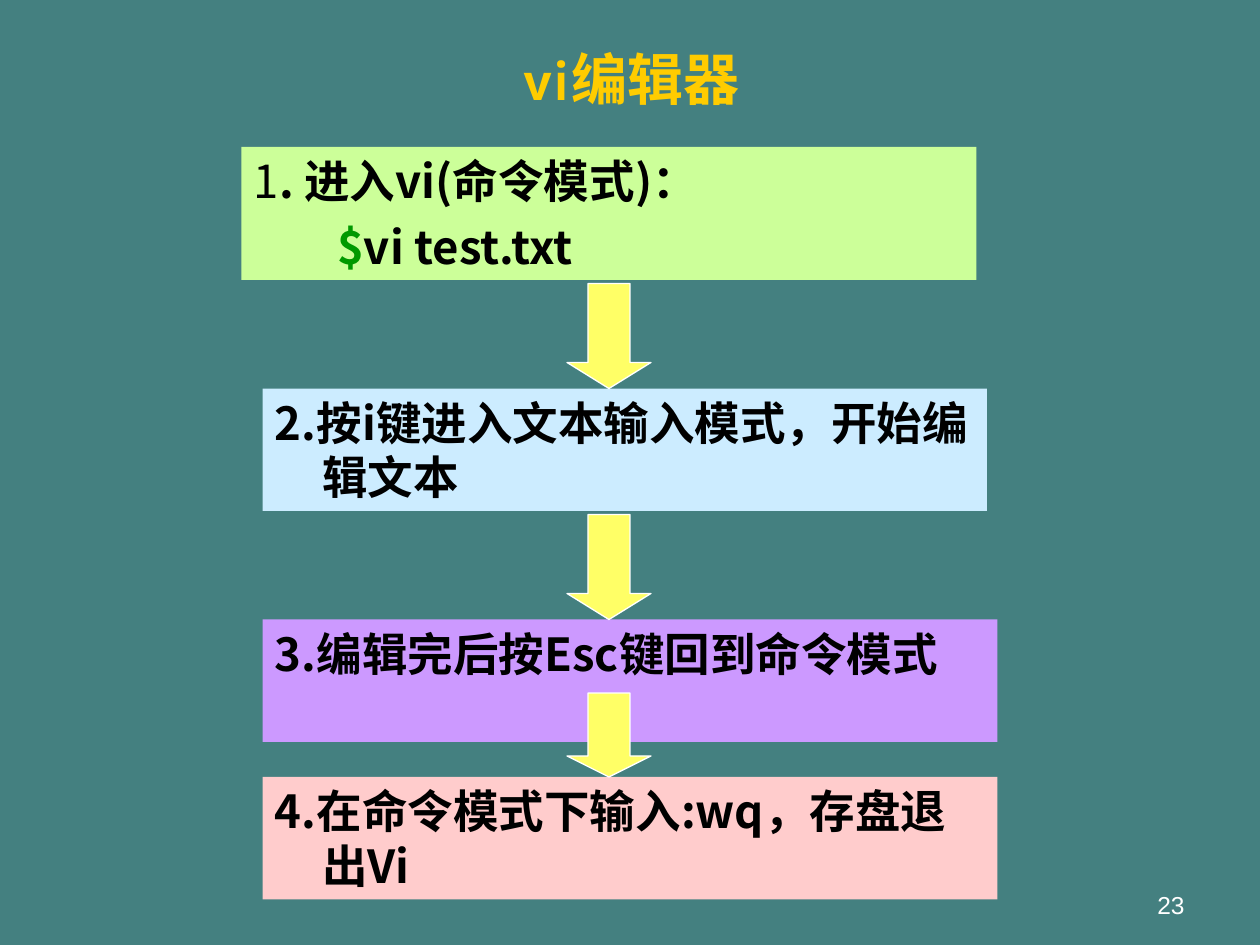
from typing import NamedTuple
from lxml.etree import SubElement
from pptx import Presentation
from pptx.dml.color import RGBColor as Rgb
from pptx.enum.shapes import MSO_SHAPE as Geo
from pptx.enum.text import MSO_ANCHOR as Anchor, PP_ALIGN as Align
from pptx.oxml.ns import qn
from pptx.util import Pt

TEAL = Rgb(0x44, 0x80, 0x80)
GOLD = Rgb(0xFF, 0xCC, 0x00)
WHITE = Rgb(0xFF, 0xFF, 0xFF)
BLACK = Rgb(0x00, 0x00, 0x00)
GREEN = Rgb(0x00, 0x99, 0x00)
LIME = Rgb(0xCC, 0xFF, 0x99)
SKY = Rgb(0xCC, 0xEC, 0xFF)
MAUVE = Rgb(0xCC, 0x99, 0xFF)
PINK = Rgb(0xFF, 0xCC, 0xCC)
YELLOW = Rgb(0xFF, 0xFF, 0x66)
SANS = "Noto Sans CJK SC"


class Run(NamedTuple):
    text: str
    color: Rgb = BLACK
    bold: bool = True
    size: float = 26
    face: str = SANS


class Line(NamedTuple):
    runs: list[Run]
    left: float = 27
    hang: float = -27


class Step(NamedTuple):
    x: float
    y: float
    w: float
    h: float
    fill: Rgb
    lines: list[Line]


class Arrow(NamedTuple):
    y: float
    h: float
    head: float


STEPS = [
    Step(138, 84, 420, 76, LIME, [
        Line([Run("1", bold=False), Run(". 进入vi(命令模式)：")]),
        Line([Run("$", GREEN), Run("vi test.txt")], 47.5, 0),
    ]),
    Step(150, 222, 414, 70, SKY,
         [Line([Run("2.按i键进入文本输入模式，开始编辑文本")])]),
    Step(150, 354, 420, 70, MAUVE,
         [Line([Run("3.编辑完后按Esc键回到命令模式")])]),
    Step(150, 444, 420, 70, PINK,
         [Line([Run("4.在命令模式下输入:wq，存盘退出Vi")])]),
]
ARROWS = [Arrow(162, 60, 0.31), Arrow(294, 60, 0.31), Arrow(396, 48, 0.25)]


def add_run(para, run: Run) -> None:
    part = para.add_run()
    part.text = run.text
    font = part.font
    font.size, font.bold, font.name = Pt(run.size), run.bold, run.face
    font.color.rgb = run.color
    # East Asian text takes its typeface from a separate element
    SubElement(font._element, qn("a:ea"), typeface=SANS)


def add_label(slide, x: float, y: float, w: float, h: float, run: Run,
              align: Align, anchor: Anchor) -> None:
    frame = slide.shapes.add_textbox(Pt(x), Pt(y), Pt(w), Pt(h)).text_frame
    frame.word_wrap = True
    frame.vertical_anchor = anchor
    para = frame.paragraphs[0]
    para.alignment = align
    add_run(para, run)


def add_shape(slide, geo: Geo, x: float, y: float, w: float, h: float,
              fill: Rgb):
    shape = slide.shapes.add_shape(geo, Pt(x), Pt(y), Pt(w), Pt(h))
    shape.shadow.inherit = False
    shape.fill.solid()
    shape.fill.fore_color.rgb = fill
    return shape


def add_step(slide, step: Step) -> None:
    box = add_shape(slide, Geo.RECTANGLE, *step[:5])
    box.line.fill.background()
    frame = box.text_frame
    frame.word_wrap = True
    frame.vertical_anchor = Anchor.TOP
    for i, line in enumerate(step.lines):
        para = frame.add_paragraph() if i else frame.paragraphs[0]
        para.alignment = Align.LEFT
        para.space_before = Pt(6.5 if i else 0)
        props = para._p.get_or_add_pPr()
        props.set("marL", str(Pt(line.left)))
        props.set("indent", str(Pt(line.hang)))
        for run in line.runs:
            add_run(para, run)


def add_arrow(slide, arrow: Arrow) -> None:
    shape = add_shape(slide, Geo.DOWN_ARROW, 324, arrow.y, 48, arrow.h, YELLOW)
    shape.adjustments[0] = 0.5
    shape.adjustments[1] = arrow.head
    shape.line.color.rgb = WHITE
    shape.line.width = Pt(0.75)


def main() -> None:
    deck = Presentation()
    deck.slide_width, deck.slide_height = Pt(720), Pt(540)
    slide = deck.slides.add_slide(deck.slide_layouts[6])
    back = slide.background.fill
    back.solid()
    back.fore_color.rgb = TEAL
    add_label(slide, 516, 492, 168, 37, Run("23", WHITE, False, 14, "Arial"),
              Align.RIGHT, Anchor.BOTTOM)
    add_label(slide, 37, 26, 648, 37, Run("vi编辑器", GOLD, True, 32, "Karla"),
              Align.CENTER, Anchor.MIDDLE)
    for step in STEPS:
        add_step(slide, step)
    for arrow in ARROWS:
        add_arrow(slide, arrow)
    deck.save("out.pptx")


if __name__ == "__main__":
    main()
